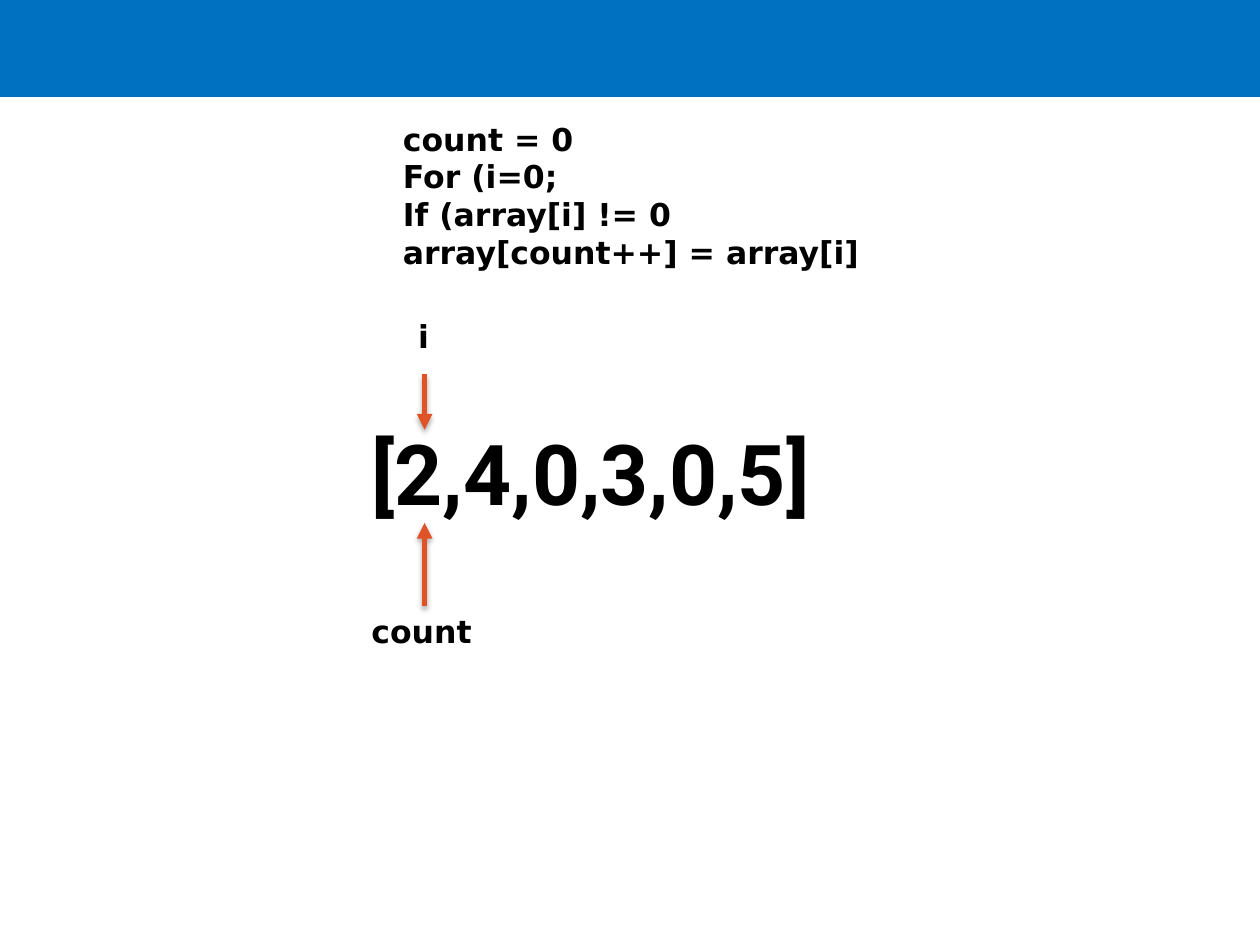
from lxml.etree import SubElement
from pptx import Presentation
from pptx.dml.color import RGBColor
from pptx.enum.shapes import MSO_CONNECTOR, MSO_SHAPE
from pptx.enum.text import MSO_AUTO_SIZE
from pptx.oxml.ns import qn
from pptx.util import Inches, Pt

BLUE, ORANGE, BLACK = "0070C0", "DF5327", "000000"
LABEL = {"name": "DejaVu Sans", "size": Pt(18), "bold": True}
ARRAY = {"name": "Roboto", "size": Pt(48), "bold": True}
POINTER_X = 3.37


def rgb(value):
    """Return the colour for a hex string."""
    return RGBColor.from_string(value)


def add_band(s, box):
    """Draw the plain header band in the box."""
    sp = s.shapes.add_shape(MSO_SHAPE.RECTANGLE, *map(Inches, box))
    sp.shadow.inherit = False
    sp.fill.solid()
    sp.fill.fore_color.rgb = rgb(BLUE)
    sp.line.fill.background()


def add_text(s, box, lines, style):
    """Place one paragraph per line in the box."""
    tf = s.shapes.add_textbox(*map(Inches, box)).text_frame
    tf.word_wrap = False
    tf.auto_size = MSO_AUTO_SIZE.SHAPE_TO_FIT_TEXT
    for i, line in enumerate(lines):
        p = tf.add_paragraph() if i else tf.paragraphs[0]
        r = p.add_run()
        r.text = line
        for name, value in style.items():
            setattr(r.font, name, value)
        r.font.color.rgb = rgb(BLACK)


def add_arrow(s, x, start, end):
    """Draw a vertical arrow with a soft shadow from start to end."""
    ends = map(Inches, (x, start, x, end))
    sp = s.shapes.add_connector(MSO_CONNECTOR.STRAIGHT, *ends)
    sp.line.color.rgb = rgb(ORANGE)
    sp.line.width = Pt(3)
    SubElement(sp.line._get_or_add_ln(), qn("a:tailEnd"), type="triangle")
    effects = SubElement(sp._element.spPr, qn("a:effectLst"))
    shadow = SubElement(effects, qn("a:outerShdw"), blurRad=str(Pt(3.1)),
                        dist=str(Pt(1.8)), dir="5400000", rotWithShape="0")
    color = SubElement(shadow, qn("a:srgbClr"), val=BLACK)
    SubElement(color, qn("a:alpha"), val="35000")


def add_pointer(s, box, name, start, end):
    """Place a pointer's name in the box and its arrow to the array."""
    add_arrow(s, POINTER_X, start, end)
    add_text(s, box, [name], LABEL)


def main():
    """Build the slide and save it."""
    prs = Presentation()
    prs.slide_width, prs.slide_height = Inches(10), Inches(7.5)
    s = prs.slides.add_slide(prs.slide_layouts[6])
    add_band(s, (0, 0, 10, 0.77))
    add_text(s, (2.85, 3.3, 3.82, 0.91), ["[2,4,0,3,0,5]"], ARRAY)
    add_pointer(s, (3.22, 2.47, 0.29, 0.4), "i", 2.97, 3.41)
    add_pointer(s, (2.85, 4.81, 1, 0.4), "count", 4.81, 4.15)
    code = ["count = 0", "For (i=0;", "If (array[i] != 0",
            "array[count++] = array[i]"]
    add_text(s, (3.1, 0.9, 3.97, 1.31), code, LABEL)
    prs.save("out.pptx")


if __name__ == "__main__":
    main()
